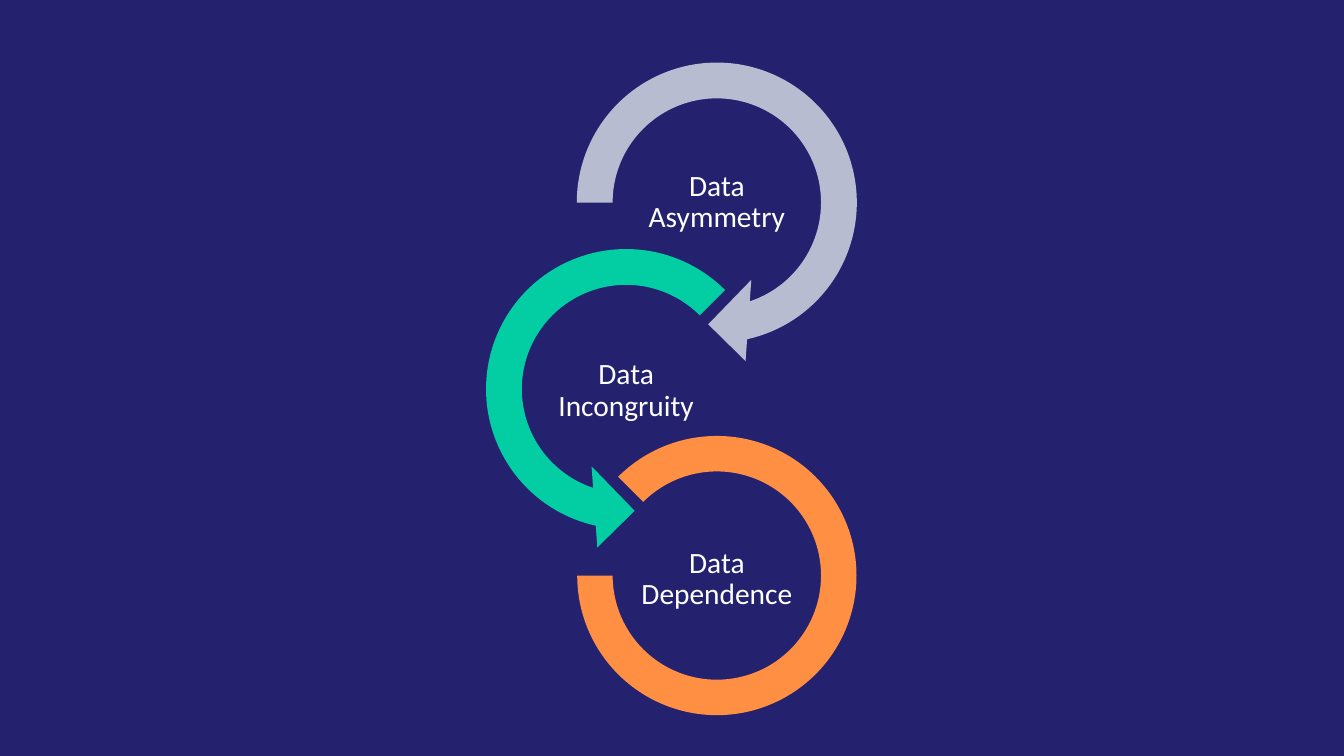
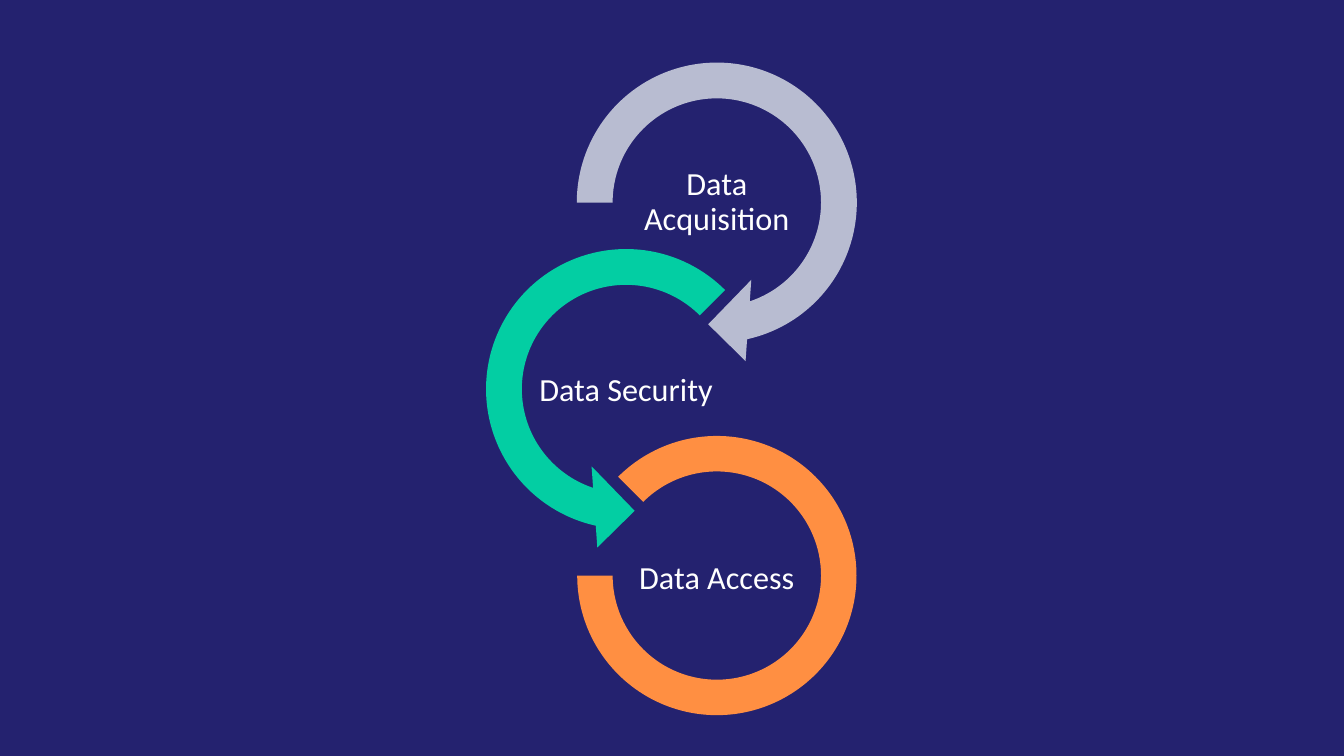
import pptx
import pptx.dml.color
import pptx.enum.shapes
import pptx.enum.text
import pptx.util

Inches = pptx.util.Inches
RGBColor = pptx.dml.color.RGBColor
MSO_SHAPE = pptx.enum.shapes.MSO_SHAPE

NAVY = RGBColor(0x24, 0x22, 0x6F)
SILVER = RGBColor(0xB8, 0xBC, 0xD1)
TEAL = RGBColor(0x03, 0xCE, 0xA3)
ORANGE = RGBColor(0xFF, 0x8F, 0x42)
WHITE = RGBColor(0xFF, 0xFF, 0xFF)

RIGHT_X, LEFT_X = 7.11, 6.21
FIRST_RING_Y, RING_PITCH = 2.01, 1.85
FIRST_LABEL_Y, LABEL_PITCH = 2.01, 1.87
LABEL_WIDTH, LABEL_HEIGHT = 1.79, 0.9

RINGS = [
    (MSO_SHAPE.CIRCULAR_ARROW, RIGHT_X, 3.23, SILVER, (0.11, 11.42, 45, 108, 0.125)),
    (MSO_SHAPE.LEFT_CIRCULAR_ARROW, LEFT_X, 3.23, TEAL, (0.11, 11.42, 63, 189, 0.125)),
    (MSO_SHAPE.BLOCK_ARC, RIGHT_X, 2.77, ORANGE, (135, 108, 0.127)),
]

CHAINS = [
    (("Data Asymmetry", "Data Incongruity", "Data Dependence"), 21, 0.01),
    (("Data Acquisition", "Data Security", "Data Access"), 23, 0.02),
]


class Deck:
    """Hold the shared style and the current slide."""

    def __init__(self):
        self.presentation = pptx.Presentation()
        self.presentation.slide_width = Inches(13.33)
        self.presentation.slide_height = Inches(7.5)
        self.slide = None

    def set_format(self, target, values):
        for name, value in values.items():
            setattr(target, name, value)

    def centred(self, x, y, width, height):
        return [Inches(n) for n in (x - width / 2, y - height / 2, width, height)]

    def new_slide(self):
        self.slide = self.presentation.slides.add_slide(self.presentation.slide_layouts[6])
        background = self.slide.background.fill
        background.solid()
        background.fore_color.rgb = NAVY

    def ring(self, kind, x, y, size, colour, adjustments):
        ring = self.slide.shapes.add_shape(kind, *self.centred(x, y, size, size))
        for index, value in enumerate(adjustments):
            ring.adjustments[index] = value
        ring.fill.solid()
        ring.fill.fore_color.rgb = colour
        ring.line.fill.background()
        ring.shadow.inherit = False

    def label(self, text, x, y, size, inset):
        box = self.centred(x, y, LABEL_WIDTH, LABEL_HEIGHT)
        frame = self.slide.shapes.add_textbox(*box).text_frame
        margins = dict.fromkeys(
            ("margin_left", "margin_top", "margin_right", "margin_bottom"), Inches(inset)
        )
        self.set_format(frame, {
            "word_wrap": True,
            "vertical_anchor": pptx.enum.text.MSO_ANCHOR.MIDDLE,
            **margins,
        })
        paragraph = frame.paragraphs[0]
        self.set_format(paragraph, {
            "text": text,
            "alignment": pptx.enum.text.PP_ALIGN.CENTER,
            "line_spacing": 0.9,
        })
        self.set_format(paragraph.font, {"name": "Calibri", "size": pptx.util.Pt(size)})
        paragraph.font.color.rgb = WHITE

    def chain(self, topics, size, inset):
        self.new_slide()
        for row, (topic, ring) in enumerate(zip(topics, RINGS)):
            kind, x, diameter, colour, adjustments = ring
            self.ring(kind, x, FIRST_RING_Y + row * RING_PITCH, diameter, colour, adjustments)
            self.label(topic, x, FIRST_LABEL_Y + row * LABEL_PITCH, size, inset)


def main():
    deck = Deck()
    for topics, size, inset in CHAINS:
        deck.chain(topics, size, inset)
    deck.presentation.save("out.pptx")


if __name__ == "__main__":
    main()
